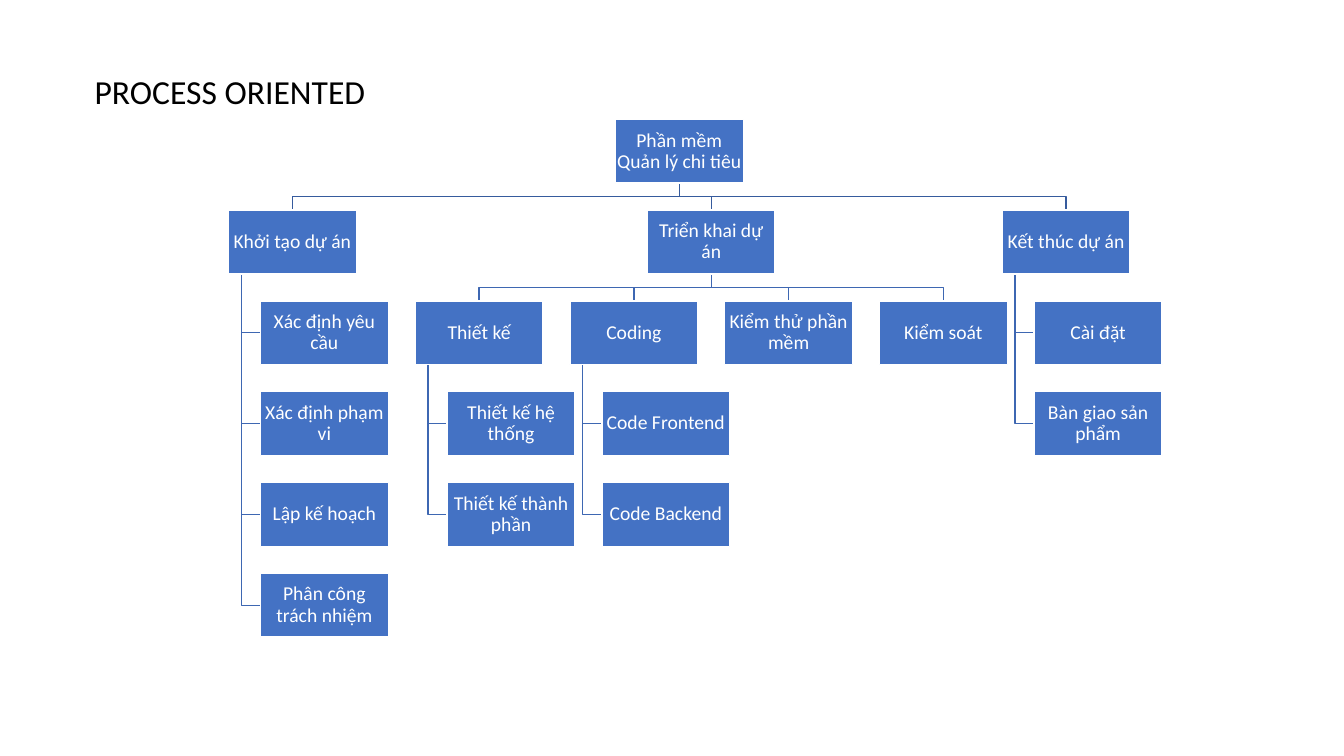
"""Build a slide with the process-oriented breakdown of a software project."""
import pptx
import pptx.dml.color
import pptx.enum.shapes
import pptx.enum.text
import pptx.util

Pt = pptx.util.Pt
COLORS = {"box": "4472C4", "edge": "FFFFFF", "label": "FFFFFF", "title": "000000",
          "upper_link": "365B9D", "lower_link": "3E67B2"}
BOX_WIDTH, BOX_HEIGHT = 91.35, 45.67
ROW_STEP = 1.42 * BOX_HEIGHT
COLUMN_STEP = 1.21 * BOX_WIDTH
INDENT = BOX_WIDTH / 4
STEM = BOX_WIDTH / 10

PHASES = [
    ("Khởi tạo dự án", ["Xác định yêu cầu", "Xác định phạm vi",
                        "Lập kế hoạch", "Phân công trách nhiệm"]),
    ("Triển khai dự án", [
        ("Thiết kế", ["Thiết kế hệ thống", "Thiết kế thành phần"]),
        ("Coding", ["Code Frontend", "Code Backend"]),
        ("Kiểm thử phần mềm", []),
        ("Kiểm soát", []),
    ]),
    ("Kết thúc dự án", ["Cài đặt", "Bàn giao sản phẩm"]),
]


def color(name):
    """Return the named colour."""
    return pptx.dml.color.RGBColor.from_string(COLORS[name])


def write_text(frame, text, size, fill, align="LEFT", anchor="TOP", spacing=1.0, inset=None):
    """Write one formatted paragraph into a text frame."""
    frame.word_wrap = True
    frame.vertical_anchor = getattr(pptx.enum.text.MSO_ANCHOR, anchor)
    if inset is not None:
        frame.margin_left = frame.margin_right = Pt(inset)
        frame.margin_top = frame.margin_bottom = Pt(inset)
    para = frame.paragraphs[0]
    para.alignment = getattr(pptx.enum.text.PP_ALIGN, align)
    para.line_spacing = spacing
    span = para.add_run()
    span.text = text
    span.font.name = "Calibri"
    span.font.size = Pt(size)
    span.font.color.rgb = color(fill)


def add_box(page, text, left, top):
    """Add one labelled box of the tree."""
    box = page.shapes.add_shape(pptx.enum.shapes.MSO_SHAPE.RECTANGLE,
                                Pt(left), Pt(top), Pt(BOX_WIDTH), Pt(BOX_HEIGHT))
    box.shadow.inherit = False
    box.fill.solid()
    box.fill.fore_color.rgb = color("box")
    box.line.color.rgb = color("edge")
    box.line.width = Pt(1)
    write_text(box.text_frame, text, 14, "label", align="CENTER", anchor="MIDDLE",
               spacing=0.9, inset=0.7)


def add_link(page, points, stroke):
    """Add an open elbow line through the points."""
    start, *rest = [(Pt(across), Pt(down)) for across, down in points]
    builder = page.shapes.build_freeform(*start)
    builder.add_line_segments(rest, close=False)
    link = builder.convert_to_shape()
    link.shadow.inherit = False
    link.fill.background()
    link.line.color.rgb = color(stroke)
    link.line.width = Pt(1)


def add_stack(page, text, steps, left, top):
    """Add a box with its steps hanging in a column below it."""
    tops = [top + ROW_STEP * row for row in range(1, len(steps) + 1)]
    trunk = left + STEM
    for step_top in tops:
        middle = step_top + BOX_HEIGHT / 2
        add_link(page, [(trunk, top + BOX_HEIGHT), (trunk, middle), (left + INDENT, middle)],
                 "lower_link")
    for step, step_top in zip(steps, tops):
        add_box(page, step, left + INDENT, step_top)
    add_box(page, text, left, top)


def add_fork(page, text, left, top, child_lefts, stroke):
    """Add a box with elbow lines to the row of boxes below it."""
    center, bottom = left + BOX_WIDTH / 2, top + BOX_HEIGHT
    child_top = top + ROW_STEP
    bus = (bottom + child_top) / 2
    for child_left in child_lefts:
        child_center = child_left + BOX_WIDTH / 2
        add_link(page, [(center, bottom), (center, bus), (child_center, bus),
                        (child_center, child_top)], stroke)
    add_box(page, text, left, top)


def add_tree(page, left, top):
    """Add the whole tree with its top left corner at the given place."""
    start, build, finish = PHASES
    columns = [left + INDENT + COLUMN_STEP * column for column in range(len(build[1]) + 2)]
    activity_lefts = columns[1:-1]
    build_left = (activity_lefts[0] + activity_lefts[-1]) / 2
    finish_left = columns[-1] - INDENT
    phase_top = top + ROW_STEP
    add_fork(page, "Phần mềm Quản lý chi tiêu", (left + finish_left) / 2, top,
             [left, build_left, finish_left], "upper_link")
    add_stack(page, *start, left, phase_top)
    add_fork(page, build[0], build_left, phase_top, activity_lefts, "lower_link")
    for (activity, steps), activity_left in zip(build[1], activity_lefts):
        add_stack(page, activity, steps, activity_left, phase_top + ROW_STEP)
    add_stack(page, *finish, finish_left, phase_top)


def add_title(page, left, top, width, height):
    """Add the slide title in the given box."""
    box = page.shapes.add_textbox(Pt(left), Pt(top), Pt(width), Pt(height))
    write_text(box.text_frame, "PROCESS ORIENTED", 24, "title")


def main():
    """Build and save the deck."""
    deck = pptx.Presentation()
    deck.slide_width, deck.slide_height = Pt(960), Pt(540)
    page = deck.slides.add_slide(deck.slide_layouts[6])
    add_tree(page, 163.2, 85.2)
    add_title(page, 60.5, 46.8, 228, 36)
    deck.save("out.pptx")


main()
